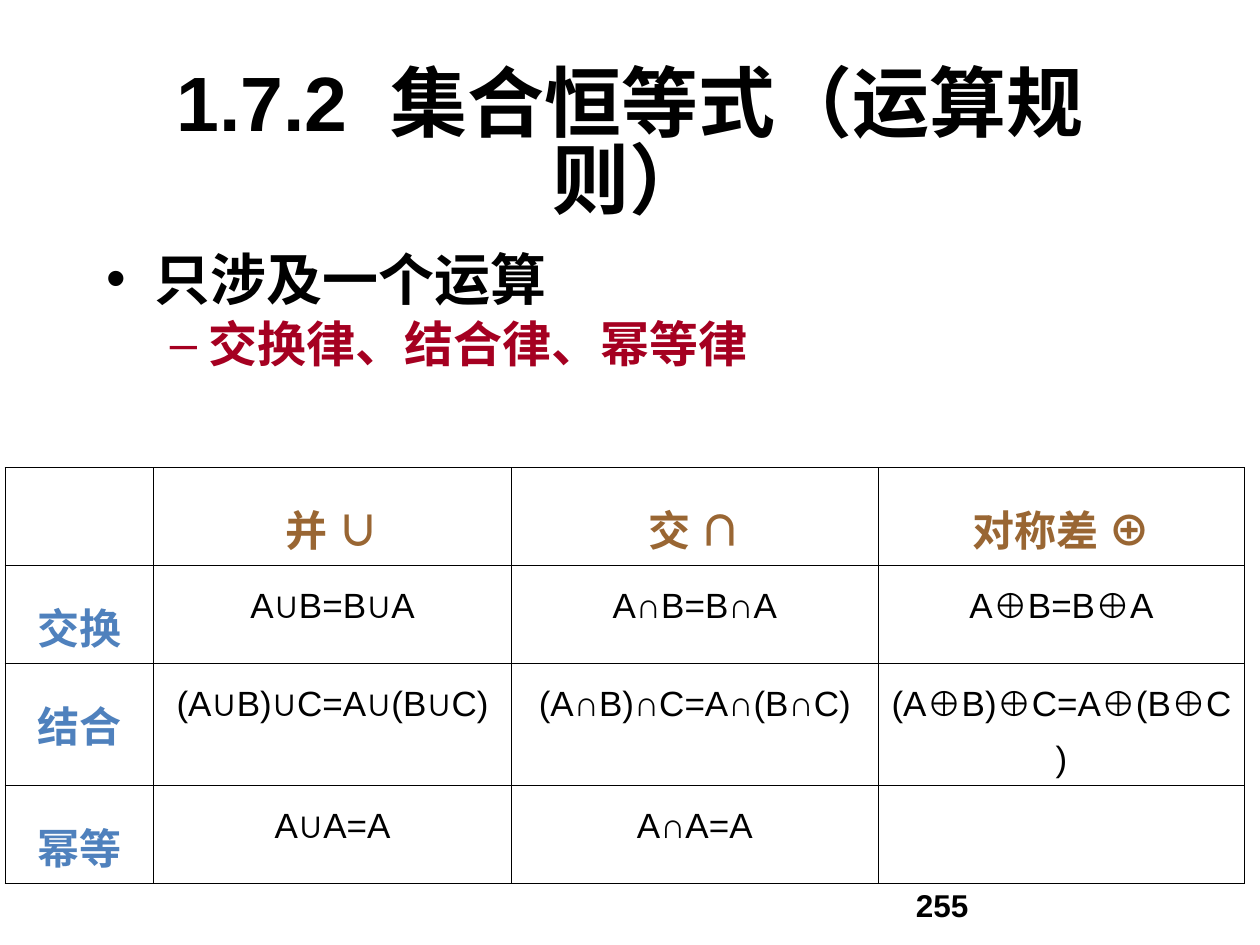
from pptx import Presentation
from pptx.dml.color import RGBColor
from pptx.enum.text import MSO_ANCHOR, MSO_AUTO_SIZE, PP_ALIGN
from pptx.oxml import parse_xml
from pptx.oxml.ns import nsdecls
from pptx.util import Inches, Pt

COLORS = {"ink": "000000", "law": "A50021", "operation": "996633", "row": "4F81BD"}
LATIN = "Arial"
CJK = "Noto Sans CJK SC"


class SetSlide:
    def __init__(self, presentation):
        self.slide = presentation.slides.add_slide(presentation.slide_layouts[5])

    def add_words(self, paragraph, text, size, color="ink", bold=True, latin=LATIN, east=CJK):
        run = paragraph.add_run()
        run.text = text
        formats = {"size": Pt(size), "bold": bold, "name": latin}
        for attribute, value in formats.items():
            setattr(run.font, attribute, value)
        run.font.color.rgb = RGBColor.from_string(COLORS[color])
        if east:
            run._r.get_or_add_rPr().append(
                parse_xml(f'<a:ea {nsdecls("a")} typeface="{east}"/>'))
        return run

    def frame(self, shape, box, top_inset=0.05):
        places = zip(("left", "top", "width", "height"), box)
        for attribute, value in places:
            setattr(shape, attribute, Inches(value))
        formats = {
            "word_wrap": True,
            "auto_size": MSO_AUTO_SIZE.NONE,
            "vertical_anchor": MSO_ANCHOR.TOP,
            "margin_left": Inches(0.1),
            "margin_right": Inches(0.1),
            "margin_top": Inches(top_inset),
            "margin_bottom": Inches(0.05),
        }
        for attribute, value in formats.items():
            setattr(shape.text_frame, attribute, value)
        return shape.text_frame

    def title(self, number, heading, box):
        paragraph = self.frame(self.slide.shapes.title, box, 0.12).paragraphs[0]
        paragraph.alignment = PP_ALIGN.CENTER
        paragraph.line_spacing = 0.83
        self.add_words(paragraph, number, 44)
        gap = self.add_words(paragraph, " ", 44)
        gap._r.get_or_add_rPr().set("spc", "1200")
        self.add_words(paragraph, heading, 44)

    def text(self, box, top_inset=0.05):
        return self.frame(self.slide.shapes.add_textbox(0, 0, 0, 0), box, top_inset)

    def bullets(self, items, box):
        body = self.text(box, 0.09)
        for index, (text, level, size, color, mark, margin, hang, before) in enumerate(items):
            paragraph = body.add_paragraph() if index else body.paragraphs[0]
            paragraph.level = level
            paragraph.line_spacing = 0.83
            paragraph.space_before = Pt(before)
            properties = paragraph._p.get_or_add_pPr()
            properties.set("marL", str(Inches(margin)))
            properties.set("indent", str(-Inches(hang)))
            for xml in (
                f'<a:buClr {nsdecls("a")}><a:srgbClr val="{COLORS[color]}"/></a:buClr>',
                f'<a:buFont {nsdecls("a")} typeface="{LATIN}"/>',
                f'<a:buChar {nsdecls("a")} char="{mark}"/>',
            ):
                properties.append(parse_xml(xml))
            self.add_words(paragraph, text, size, color)

    def border(self, cell):
        properties = cell._tc.get_or_add_tcPr()
        for index, side in enumerate(("lnL", "lnR", "lnT", "lnB")):
            properties.insert(index, parse_xml(
                f'<a:{side} {nsdecls("a")} w="{Pt(0.45)}"><a:solidFill>'
                f'<a:srgbClr val="{COLORS["ink"]}"/></a:solidFill></a:{side}>'))

    def table(self, rows, widths, row_height, left, top):
        laws = self.slide.shapes.add_table(
            len(rows), len(widths), Inches(left), Inches(top),
            Inches(sum(widths)), Inches(row_height * len(rows))).table
        laws.first_row = laws.horz_banding = False
        for column, width in zip(laws.columns, widths):
            column.width = Inches(width)
        for r, row in enumerate(rows):
            for c, text in enumerate(row):
                cell = laws.cell(r, c)
                cell.fill.background()
                self.border(cell)
                if not text:
                    continue
                paragraph = cell.text_frame.paragraphs[0]
                paragraph.alignment = PP_ALIGN.CENTER
                paragraph.line_spacing = 1.4
                if r == 0:
                    self.add_words(paragraph, text, 24, "operation")
                elif c == 0:
                    self.add_words(paragraph, text, 24, "row", latin=CJK)
                else:
                    self.add_words(paragraph, text, 20, bold=False, east=None)


def main():
    presentation = Presentation()
    presentation.slide_width = Inches(10)
    presentation.slide_height = Inches(7.5)
    page = SetSlide(presentation)
    page.add_words(page.text((7.17, 6.98, 2.08, 0.27)).paragraphs[0], "255", 18)
    page.title("1.7.2", "集合恒等式（运算规则）", (0.75, 0.44, 8.5, 1.25))
    page.bullets([
        ("只涉及一个运算", 0, 32, "ink", "•", 0.38, 0.38, 0),
        ("交换律、结合律、幂等律", 1, 28, "law", "–", 0.81, 0.31, 7),
    ], (0.75, 1.94, 8.5, 4.88))
    page.table([
        ("", "并 ∪", "交 ∩", "对称差 ⊕"),
        ("交换", "A∪B=B∪A", "A∩B=B∩A", "A⊕B=B⊕A"),
        ("结合", "(A∪B)∪C=A∪(B∪C)", "(A∩B)∩C=A∩(B∩C)", "(A⊕B)⊕C=A⊕(B⊕C)"),
        ("幂等", "A∪A=A", "A∩A=A", ""),
    ], (1.18, 2.84, 2.91, 2.91), 0.66, 0.04, 3.71)
    presentation.save("out.pptx")


if __name__ == "__main__":
    main()
